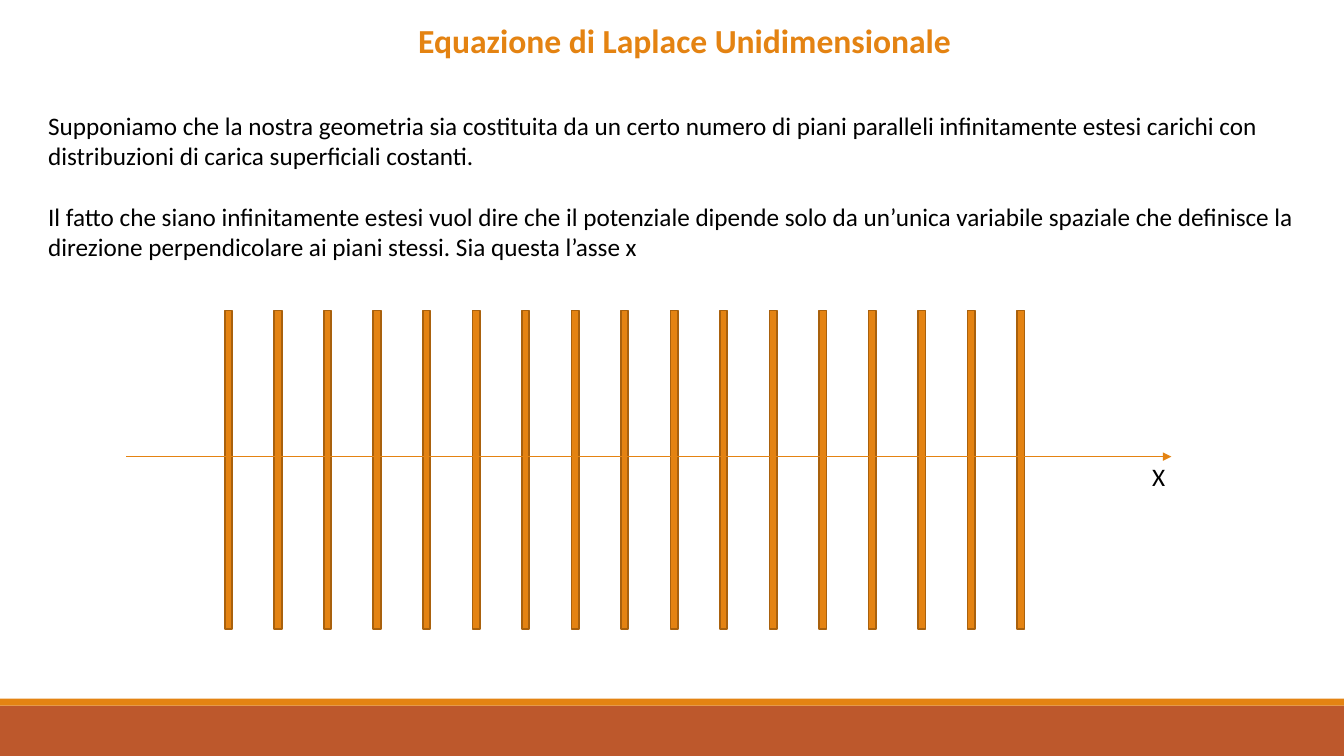
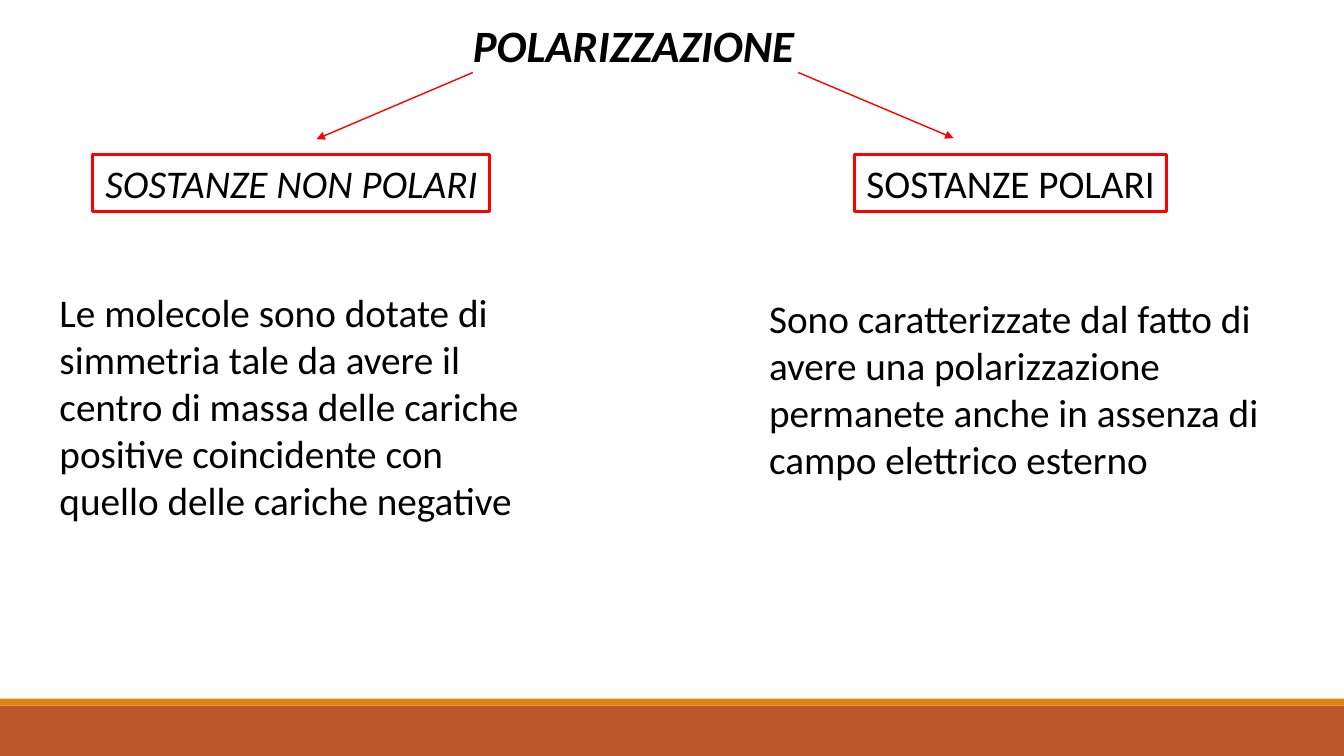
import pptx
import pptx.dml.color
import pptx.enum.shapes
import pptx.enum.text
import pptx.oxml
import pptx.oxml.ns
import pptx.util

RGBColor = pptx.dml.color.RGBColor
ORANGE = RGBColor(0xE4, 0x83, 0x12)
DARK_ORANGE = RGBColor(0xA9, 0x61, 0x0D)
BRICK = RGBColor(0xBD, 0x58, 0x2C)
RED = RGBColor(0xFF, 0x00, 0x00)
BLACK = RGBColor(0x00, 0x00, 0x00)

FONT = "Calibri"
WIDTH = pptx.util.Inches(13.333)
HEIGHT = pptx.util.Inches(7.5)
PLANE_COUNT = 17


# Positions and sizes are percentages of the slide
def across(percent):
    return round(WIDTH * percent / 100)


def down(percent):
    return round(HEIGHT * percent / 100)


def place(left, top, width, height):
    return across(left), down(top), across(width), down(height)


def add_bar(page, area, fill, line=None):
    bar = page.shapes.add_shape(
        pptx.enum.shapes.MSO_SHAPE.RECTANGLE, *place(*area))
    bar.shadow.inherit = False
    bar.fill.solid()
    bar.fill.fore_color.rgb = fill
    if line is None:
        bar.line.fill.background()
    else:
        bar.line.color.rgb = line
        bar.line.width = pptx.util.Pt(1.25)


def add_text(page, area, *texts, size=18, color=BLACK, bold=False,
             italic=False, wrap=True, inset=True, gap=0, frame=None):
    box = page.shapes.add_textbox(*place(*area))
    content = box.text_frame
    content.word_wrap = wrap
    content.auto_size = pptx.enum.text.MSO_AUTO_SIZE.SHAPE_TO_FIT_TEXT
    if not inset:
        content.margin_left = content.margin_right = 0
        content.margin_top = content.margin_bottom = 0
    for index, text in enumerate(texts):
        para = content.add_paragraph() if index else content.paragraphs[0]
        if index:
            para.space_before = pptx.util.Pt(gap)
        span = para.add_run()
        span.text = text
        span.font.name = FONT
        span.font.size = pptx.util.Pt(size)
        span.font.color.rgb = color
        span.font.bold = bold
        span.font.italic = italic
        if frame is not None:
            para.alignment = pptx.enum.text.PP_ALIGN.CENTER
    if frame is not None:
        box.line.color.rgb = frame
        box.line.width = pptx.util.Pt(2.25)


def add_arrow(page, start, end, color):
    arrow = page.shapes.add_connector(
        pptx.enum.shapes.MSO_CONNECTOR.STRAIGHT,
        across(start[0]), down(start[1]), across(end[0]), down(end[1]))
    arrow.line.color.rgb = color
    arrow.line.width = pptx.util.Pt(1)
    outline = arrow.line._get_or_add_ln()
    head = pptx.oxml.parse_xml(
        '<a:tailEnd %s type="triangle"/>' % pptx.oxml.ns.nsdecls("a"))
    outline.append(head)
    no_effects = pptx.oxml.parse_xml(
        "<a:effectLst %s/>" % pptx.oxml.ns.nsdecls("a"))
    outline.addnext(no_effects)


def add_page(deck):
    page = deck.slides.add_slide(deck.slide_layouts[6])
    # Footer bands
    add_bar(page, (0, 93.33, 100, 6.67), BRICK)
    add_bar(page, (0, 92.4, 100, 0.93), ORANGE)
    return page


def build_laplace(deck):
    page = add_page(deck)
    add_text(page, (30.38, 2, 41.55, 6.67),
             "Equazione di Laplace Unidimensionale",
             size=24, color=ORANGE, bold=True, wrap=False)
    add_text(page, (2.85, 13.87, 94.65, 21.6),
             "Supponiamo che la nostra geometria sia costituita da un certo "
             "numero di piani paralleli infinitamente estesi carichi con "
             "distribuzioni di carica superficiali costanti.",
             "Il fatto che siano infinitamente estesi vuol dire che il "
             "potenziale dipende solo da un’unica variabile spaziale che "
             "definisce la direzione perpendicolare ai piani stessi. "
             "Sia questa l’asse x",
             gap=22)

    # Evenly spaced charged planes
    first, last = 16.73, 75.68
    step = (last - first) / (PLANE_COUNT - 1)
    for index in range(PLANE_COUNT):
        add_bar(page, (first + index * step, 41.07, 0.55, 42.13),
                ORANGE, line=DARK_ORANGE)

    # Axis and its label
    axis = 60.4
    add_arrow(page, (9.38, axis), (87.15, axis), ORANGE)
    add_text(page, (84.98, axis, 2.5, 5.33), "X", wrap=False)


def build_polarization(deck):
    page = add_page(deck)
    add_text(page, (35.18, 2.4, 24.15, 7.2), "POLARIZZAZIONE",
             size=32, bold=True, italic=True, wrap=False, inset=False)

    # Two branches: heading, explanation and arrow
    branches = [
        ("SOSTANZE NON POLARI", True, (6.9, 20.4, 29.55, 7.6),
         "Le molecole sono dotate di simmetria tale da avere il centro di "
         "massa delle cariche positive coincidente con quello delle cariche "
         "negative", (4.43, 38.13, 34.5, 31.47),
         (35.18, 9.6), (23.55, 18.4)),
        ("SOSTANZE POLARI", False, (63.6, 20.4, 23.18, 7.6),
         "Sono caratterizzate dal fatto di avere una polarizzazione "
         "permanete anche in assenza di campo elettrico esterno",
         (57.23, 38.93, 42.75, 25.07),
         (59.4, 9.6), (70.95, 18.27)),
    ]
    for heading, italic, heading_area, body, body_area, start, end in branches:
        add_text(page, body_area, body, size=28, inset=False)
        add_text(page, heading_area, heading, size=28, italic=italic,
                 wrap=False, frame=RED)
        add_arrow(page, start, end, RED)


def main():
    deck = pptx.Presentation()
    deck.slide_width = WIDTH
    deck.slide_height = HEIGHT
    build_laplace(deck)
    build_polarization(deck)
    deck.save("out.pptx")


if __name__ == "__main__":
    main()
